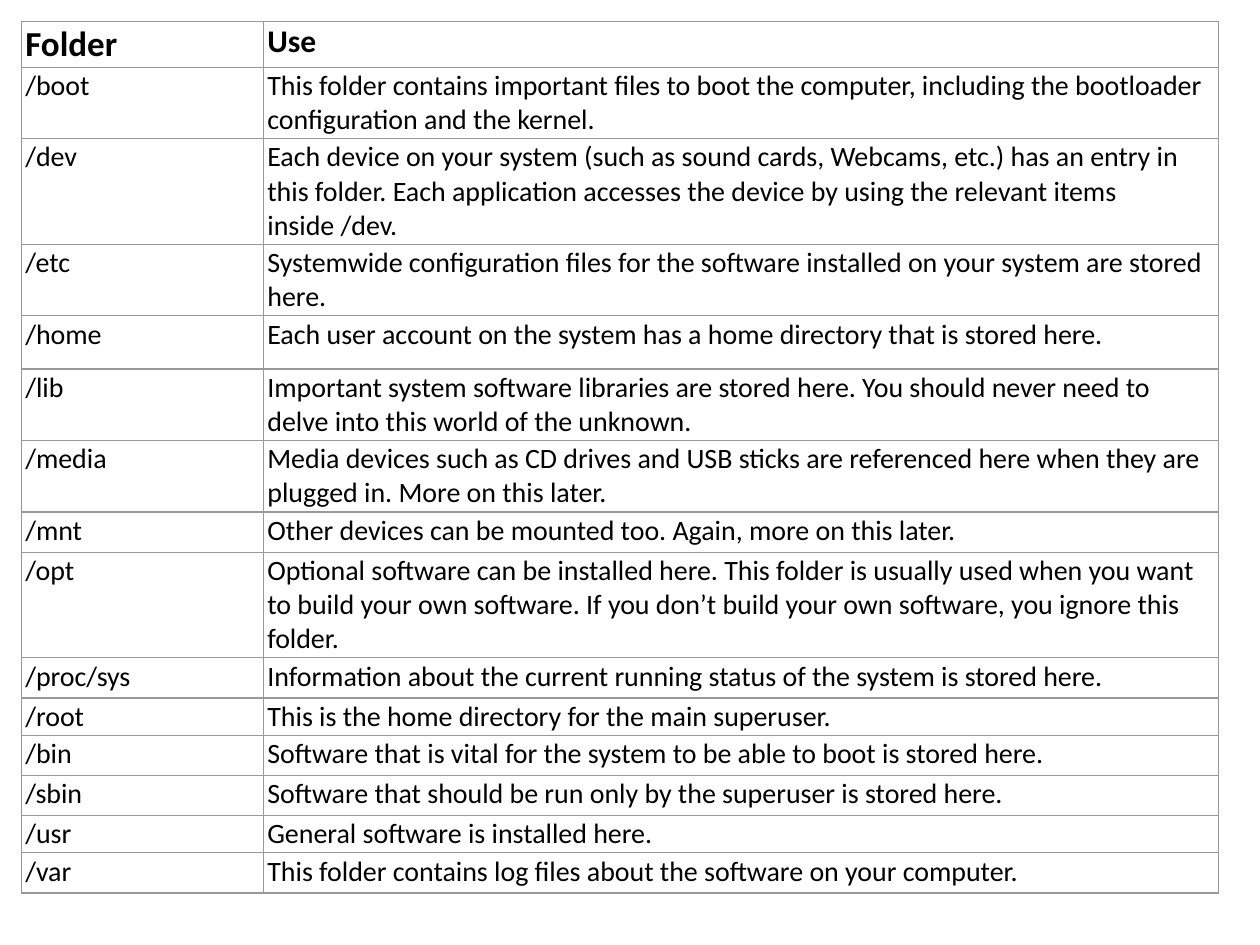
import pptx
import pptx.util
import pptx.dml.color
import pptx.oxml.ns
import lxml.etree

Cm = pptx.util.Cm
Pt = pptx.util.Pt

COLORS = {"text": "000000", "cell": "FFFFFF", "border": "999999"}
FONT = "Calibri"
HEADER_SIZES = (20, 18)
BODY_SIZES = (16, 16)
COLUMN_WIDTHS = (4.88, 19.25)
TABLE_LEFT, TABLE_TOP, TABLE_HEIGHT = 0.43, 0.43, 17.5
BORDER_WIDTH = 0.75

FOLDERS = [
    (0.89, "Folder", "Use"),
    (1.32, "/boot", "This folder contains important files to boot the computer, "
     "including the bootloader configuration and the kernel."),
    (1.8, "/dev", "Each device on your system (such as sound cards, Webcams, etc.) "
     "has an entry in this folder. Each application accesses the device by using "
     "the relevant items inside /dev."),
    (1.07, "/etc", "Systemwide configuration files for the software installed on "
     "your system are stored here."),
    (1.07, "/home", "Each user account on the system has a home directory that is "
     "stored here."),
    (1.32, "/lib", "Important system software libraries are stored here. You should "
     "never need to delve into this world of the unknown."),
    (1.32, "/media", "Media devices such as CD drives and USB sticks are referenced "
     "here when they are plugged in. More on this later."),
    (0.81, "/mnt", "Other devices can be mounted too. Again, more on this later."),
    (1.8, "/opt", "Optional software can be installed here. This folder is usually "
     "used when you want to build your own software. If you don’t build your own "
     "software, you ignore this folder."),
    (0.81, "/proc/sys", "Information about the current running status of the system "
     "is stored here."),
    (0.58, "/root", "This is the home directory for the main superuser."),
    (0.81, "/bin", "Software that is vital for the system to be able to boot is "
     "stored here."),
    (0.81, "/sbin", "Software that should be run only by the superuser is stored here."),
    (0.58, "/usr", "General software is installed here."),
    (0.81, "/var", "This folder contains log files about the software on your computer."),
]


def rgb(name):
    return pptx.dml.color.RGBColor.from_string(COLORS[name])


def add_borders(cell):
    qn = pptx.oxml.ns.qn
    properties = cell._tc.get_or_add_tcPr()
    for side in ("a:lnL", "a:lnR", "a:lnT", "a:lnB"):
        line = lxml.etree.SubElement(properties, qn(side), w=str(Pt(BORDER_WIDTH)))
        fill = lxml.etree.SubElement(line, qn("a:solidFill"))
        lxml.etree.SubElement(fill, qn("a:srgbClr"), val=COLORS["border"])


def fill_cell(cell, text, size, bold):
    cell.margin_left = cell.margin_right = Cm(0.08)
    cell.margin_top = cell.margin_bottom = Cm(0.03)
    add_borders(cell)
    cell.fill.solid()
    cell.fill.fore_color.rgb = rgb("cell")
    cell.text_frame.text = text
    font = cell.text_frame.paragraphs[0].runs[0].font
    font.name = FONT
    font.size = Pt(size)
    font.bold = bold
    font.color.rgb = rgb("text")


def main():
    deck = pptx.Presentation()
    deck.slide_width, deck.slide_height = Cm(25.4), Cm(19.05)
    page = deck.slides.add_slide(deck.slide_layouts[6])

    frame = page.shapes.add_table(
        len(FOLDERS), len(COLUMN_WIDTHS), Cm(TABLE_LEFT), Cm(TABLE_TOP),
        Cm(sum(COLUMN_WIDTHS)), Cm(TABLE_HEIGHT))
    table = frame.table
    table.horz_banding = False
    for column, width in zip(table.columns, COLUMN_WIDTHS):
        column.width = Cm(width)

    for index, (height, *texts) in enumerate(FOLDERS):
        row = table.rows[index]
        row.height = Cm(height)
        header = index == 0
        sizes = HEADER_SIZES if header else BODY_SIZES
        for cell, text, size in zip(row.cells, texts, sizes):
            fill_cell(cell, text, size, header)
    frame.height = Cm(TABLE_HEIGHT)

    deck.save("out.pptx")


if __name__ == "__main__":
    main()
